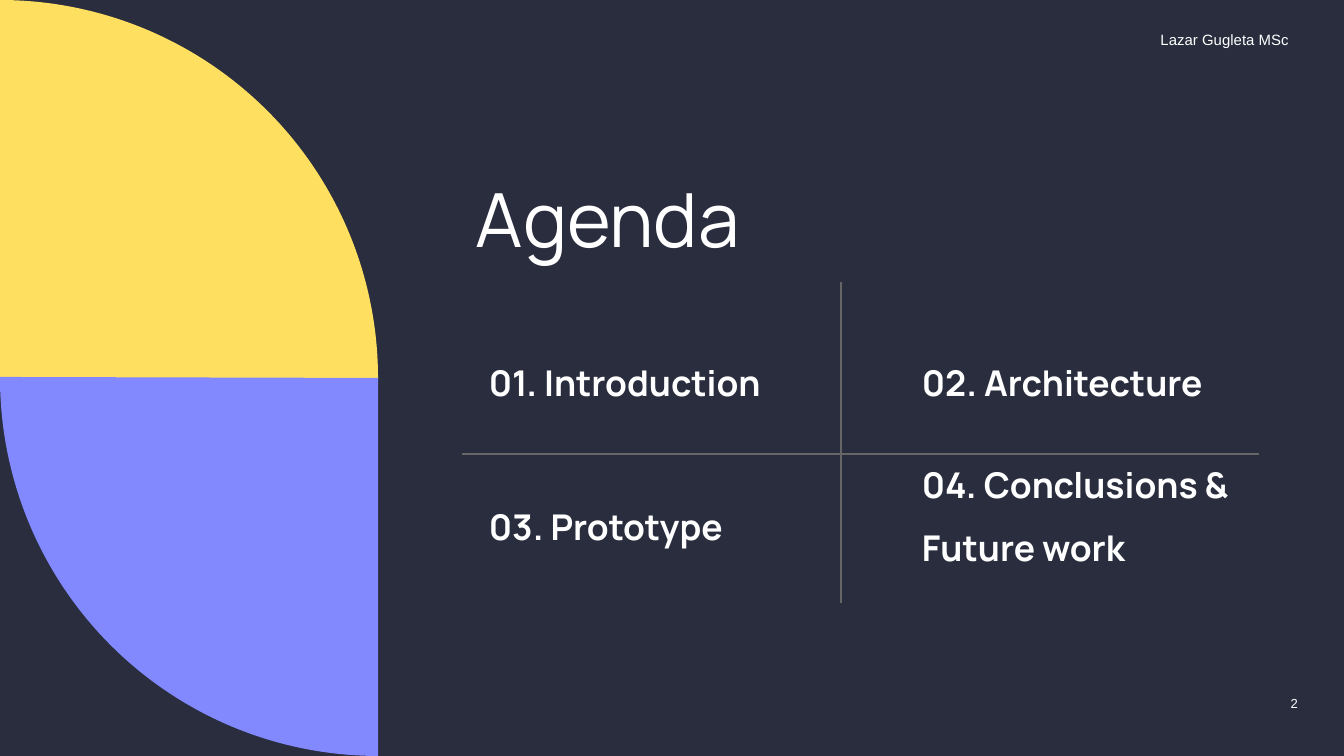
from pptx import Presentation
from pptx.dml.color import RGBColor
from pptx.enum.shapes import MSO_CONNECTOR, MSO_SHAPE
from pptx.enum.text import MSO_ANCHOR, PP_ALIGN
from pptx.oxml.ns import qn
from pptx.util import Emu, Pt
from lxml.etree import SubElement

WHITE = "FFFFFF"
NAVY = "292D3E"
YELLOW = "FFDF5F"
VIOLET = "8289FF"
GREY = "666666"
WIDTH, HEIGHT = 1344, 756


def px(length):
    return Emu(round(length * 914400 / 134.4))


def color(hex_code):
    return RGBColor.from_string(hex_code)


class AgendaSlide:
    font = "Manrope"
    small_font = "Arial"
    inset = 13

    def __init__(self, deck):
        self.slide = deck.slides.add_slide(deck.slide_layouts[6])
        self.slide.background.fill.solid()
        self.slide.background.fill.fore_color.rgb = color(NAVY)

    def quarter(self, left, rotation, fill):
        pie = self.slide.shapes.add_shape(
            MSO_SHAPE.PIE, px(left), px(0), px(HEIGHT), px(HEIGHT))
        pie.adjustments[0] = 0
        pie.adjustments[1] = 54.09
        pie.rotation = rotation
        pie.shadow.inherit = False
        pie.fill.solid()
        pie.fill.fore_color.rgb = color(fill)
        pie.line.fill.background()

    def text(self, words, left, top, width, height, size, font=font, bold=False,
             spacing=1.0, align=PP_ALIGN.LEFT, anchor=MSO_ANCHOR.BOTTOM,
             left_inset=inset, bottom_inset=inset):
        box = self.slide.shapes.add_textbox(px(left), px(top), px(width), px(height))
        frame = box.text_frame
        frame.word_wrap = True
        frame.vertical_anchor = anchor
        frame.margin_left, frame.margin_bottom = px(left_inset), px(bottom_inset)
        frame.margin_right = frame.margin_top = px(self.inset)
        frame.text = words
        paragraph = frame.paragraphs[0]
        paragraph.alignment = align
        paragraph.line_spacing = spacing
        style = paragraph.runs[0].font
        style.name, style.size, style.bold = font, Pt(size), bold
        style.color.rgb = color(WHITE)

    def divider(self, x1, y1, x2, y2):
        rule = self.slide.shapes.add_connector(
            MSO_CONNECTOR.STRAIGHT, px(x1), px(y1), px(x2), px(y2))
        rule.line.color.rgb = color(GREY)
        rule.line.width = Pt(0.75)
        SubElement(rule._element.spPr, qn("a:effectLst"))


def main():
    deck = Presentation()
    deck.slide_width, deck.slide_height = px(WIDTH), px(HEIGHT)
    agenda = AgendaSlide(deck)

    agenda.quarter(-HEIGHT // 2, 270, YELLOW)
    agenda.quarter(0, 90, VIOLET)

    agenda.text("2", 988, 688, 323, 43, 7, font=agenda.small_font,
                align=PP_ALIGN.RIGHT, anchor=MSO_ANCHOR.TOP)
    agenda.text("Lazar Gugleta MSc", 966, 24, 336, 32, 8, font=agenda.small_font,
                spacing=0.8, align=PP_ALIGN.RIGHT)
    agenda.text("Agenda", 476, 70, 421, 194, 40, spacing=0.9,
                left_inset=0, bottom_inset=0)

    left_column, right_column = 476, 909
    topics = [
        ("01. Introduction", left_column, 285),
        ("02. Architecture", right_column, 285),
        ("03. Prototype", left_column, 429),
        ("04. Conclusions & Future work", right_column, 450),
    ]
    for topic, left, top in topics:
        agenda.text(topic, left, top, 343, 132, 19, bold=True, spacing=1.5)

    agenda.divider(841, 603, 841, 282)
    agenda.divider(1259, 454, 462, 454)

    deck.save("out.pptx")


if __name__ == "__main__":
    main()
